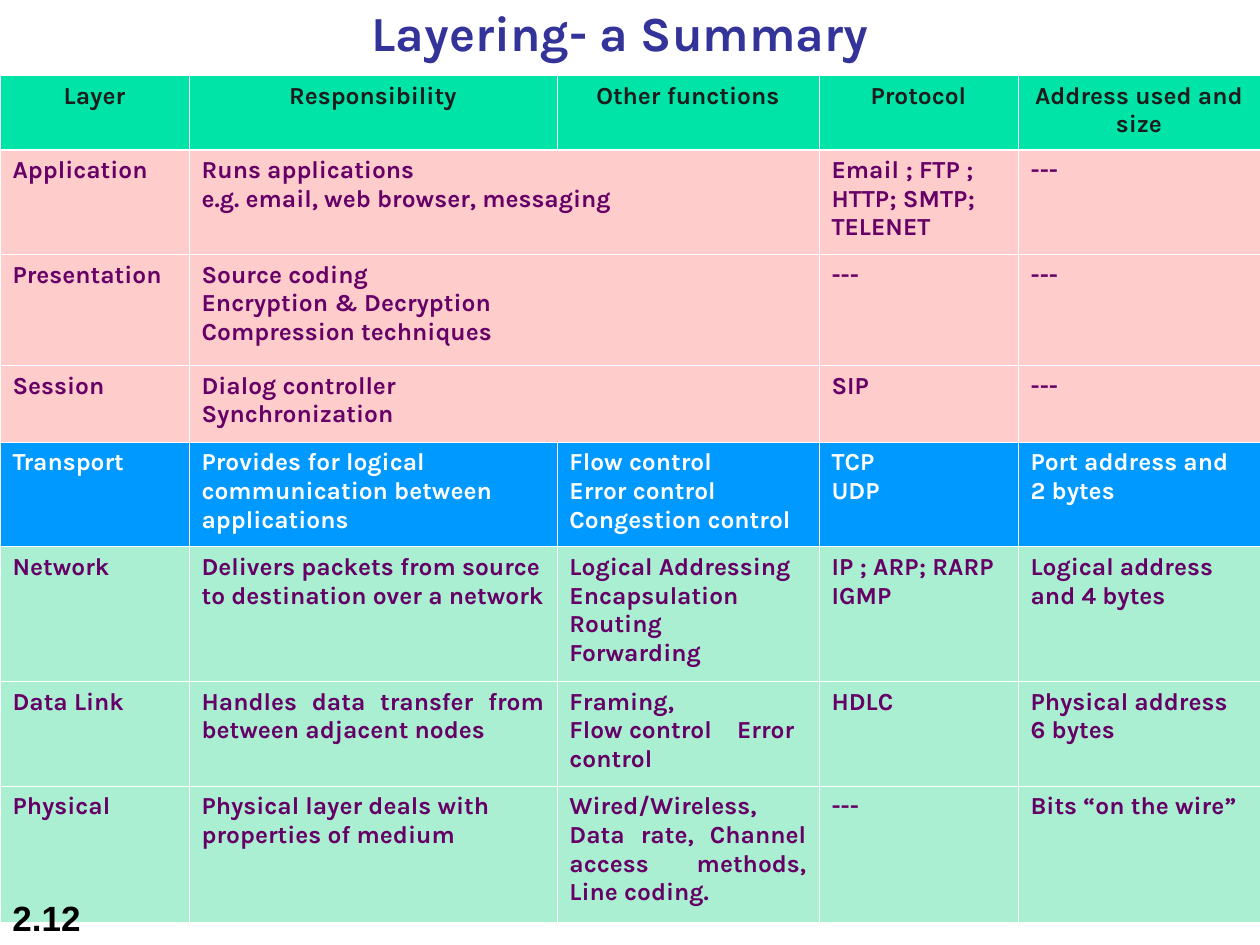
from typing import NamedTuple

from lxml.etree import SubElement
from pptx import Presentation
from pptx.dml.color import RGBColor
from pptx.enum.text import MSO_ANCHOR as Anchor, PP_ALIGN as Align
from pptx.oxml.ns import qn
from pptx.util import Inches, Pt

WHITE = RGBColor(0xFF, 0xFF, 0xFF)
BLACK = RGBColor(0, 0, 0)
INDIGO = RGBColor(0x33, 0x33, 0x99)
CHARCOAL = RGBColor(0x1C, 0x1C, 0x1C)
PURPLE = RGBColor(0x66, 0x00, 0x66)
TEAL = RGBColor(0x00, 0xE4, 0xA8)
PINK = RGBColor(0xFF, 0xCC, 0xCC)
BLUE = RGBColor(0x00, 0x99, 0xFF)
MINT = RGBColor(0xAA, 0xEF, 0xD1)

FONT = "Karla"
COLUMN_WIDTHS = (1.5, 2.92, 2.08, 1.58, 1.92)
TABLE_TOP = 0.6
THIN, THICK = 0.45, 1.47
ERROR_TAB = 1.33


class Layer(NamedTuple):
    """One table row; a None cell is joined to the cell on its left."""
    height: float
    fill: RGBColor
    ink: RGBColor
    cells: tuple
    justified: tuple = ()


HEADER = Layer(0.59, TEAL, CHARCOAL, (
    "Layer", "Responsibility", "Other functions", "Protocol",
    "Address used and size"))
LAYERS = (
    Layer(0.83, PINK, PURPLE, (
        "Application", "Runs applications\ne.g. email, web browser, messaging",
        None, "Email ; FTP ; HTTP; SMTP; TELENET", "---")),
    Layer(0.88, PINK, PURPLE, (
        "Presentation",
        "Source coding\nEncryption & Decryption\nCompression techniques",
        None, "---", "---")),
    Layer(0.61, PINK, PURPLE, (
        "Session", "Dialog controller\nSynchronization", None, "SIP", "---")),
    Layer(0.83, BLUE, WHITE, (
        "Transport", "Provides for logical communication between applications",
        "Flow control\nError control\nCongestion control", "TCP\nUDP",
        "Port address and\n2 bytes")),
    Layer(1.07, MINT, PURPLE, (
        "Network", "Delivers packets from source to destination over a network",
        "Logical Addressing\nEncapsulation\nRouting\nForwarding",
        "IP ; ARP; RARP\nIGMP", "Logical address and 4 bytes")),
    Layer(0.83, MINT, PURPLE, (
        "Data Link", "Handles data transfer from between adjacent nodes",
        "Framing,\nFlow control\tError control", "HDLC",
        "Physical address\n6 bytes"), justified=(1,)),
    Layer(1.08, MINT, PURPLE, (
        "Physical", "Physical layer deals with properties of medium",
        "Wired/Wireless, Data rate, Channel access methods, Line coding.",
        "---", "Bits “on the wire”"), justified=(2,)),
)


def write(frame, text: str, *, size: float, color: RGBColor,
          font: str = FONT, align=Align.LEFT) -> None:
    frame.word_wrap = True
    for index, line in enumerate(text.split("\n")):
        paragraph = frame.add_paragraph() if index else frame.paragraphs[0]
        paragraph.alignment = align
        if "\t" in line:
            tabs = SubElement(paragraph._p.get_or_add_pPr(), qn("a:tabLst"))
            SubElement(tabs, qn("a:tab"), pos=str(Inches(ERROR_TAB)), algn="l")
        run = paragraph.add_run()
        run.text = line
        run.font.name = font
        run.font.size = Pt(size)
        run.font.bold = True
        run.font.color.rgb = color


def style_cell(cell, fill: RGBColor, top: float, bottom: float) -> None:
    """Set white borders first, as the schema wants them before the fill."""
    properties = cell._tc.get_or_add_tcPr()
    for side, width in (("L", THIN), ("R", THIN), ("T", top), ("B", bottom)):
        border = SubElement(properties, qn(f"a:ln{side}"), w=str(Pt(width)))
        solid = SubElement(border, qn("a:solidFill"))
        SubElement(solid, qn("a:srgbClr"), val=str(WHITE))
    cell.fill.solid()
    cell.fill.fore_color.rgb = fill


def add_layer_table(slide) -> None:
    layers = (HEADER, *LAYERS)
    table = slide.shapes.add_table(
        len(layers), len(COLUMN_WIDTHS), 0, Inches(TABLE_TOP),
        Inches(sum(COLUMN_WIDTHS)),
        Inches(sum(layer.height for layer in layers))).table
    for column, width in zip(table.columns, COLUMN_WIDTHS):
        column.width = Inches(width)
    for r, layer in enumerate(layers):
        table.rows[r].height = Inches(layer.height)
        for c, text in enumerate(layer.cells):
            cell = table.cell(r, c)
            style_cell(cell, layer.fill, top=THICK if r == 1 else THIN,
                       bottom=THICK if r == 0 else THIN)
            if text is None:
                table.cell(r, c - 1).merge(cell)
                continue
            align = (Align.CENTER if layer is HEADER
                     else Align.JUSTIFY if c in layer.justified else Align.LEFT)
            write(cell.text_frame, text, size=14, color=layer.ink, align=align)


def main() -> None:
    deck = Presentation()
    deck.slide_width, deck.slide_height = Inches(10), Inches(7.5)
    slide = deck.slides.add_slide(deck.slide_layouts[5])

    title = slide.shapes.title
    title.left, title.top = Inches(2.67), Inches(-0.03)
    title.width, title.height = Inches(4.5), Inches(0.78)
    title.fill.solid()
    title.fill.fore_color.rgb = WHITE
    title.text_frame.vertical_anchor = Anchor.TOP
    write(title.text_frame, "Layering- a Summary", size=28, color=INDIGO,
          align=Align.CENTER)

    add_layer_table(slide)

    number = slide.shapes.add_textbox(0, Inches(7), Inches(2.08), Inches(0.5))
    number.text_frame.vertical_anchor = Anchor.BOTTOM
    write(number.text_frame, "2.12", size=20, color=BLACK, font="Arial")

    deck.save("out.pptx")


if __name__ == "__main__":
    main()
